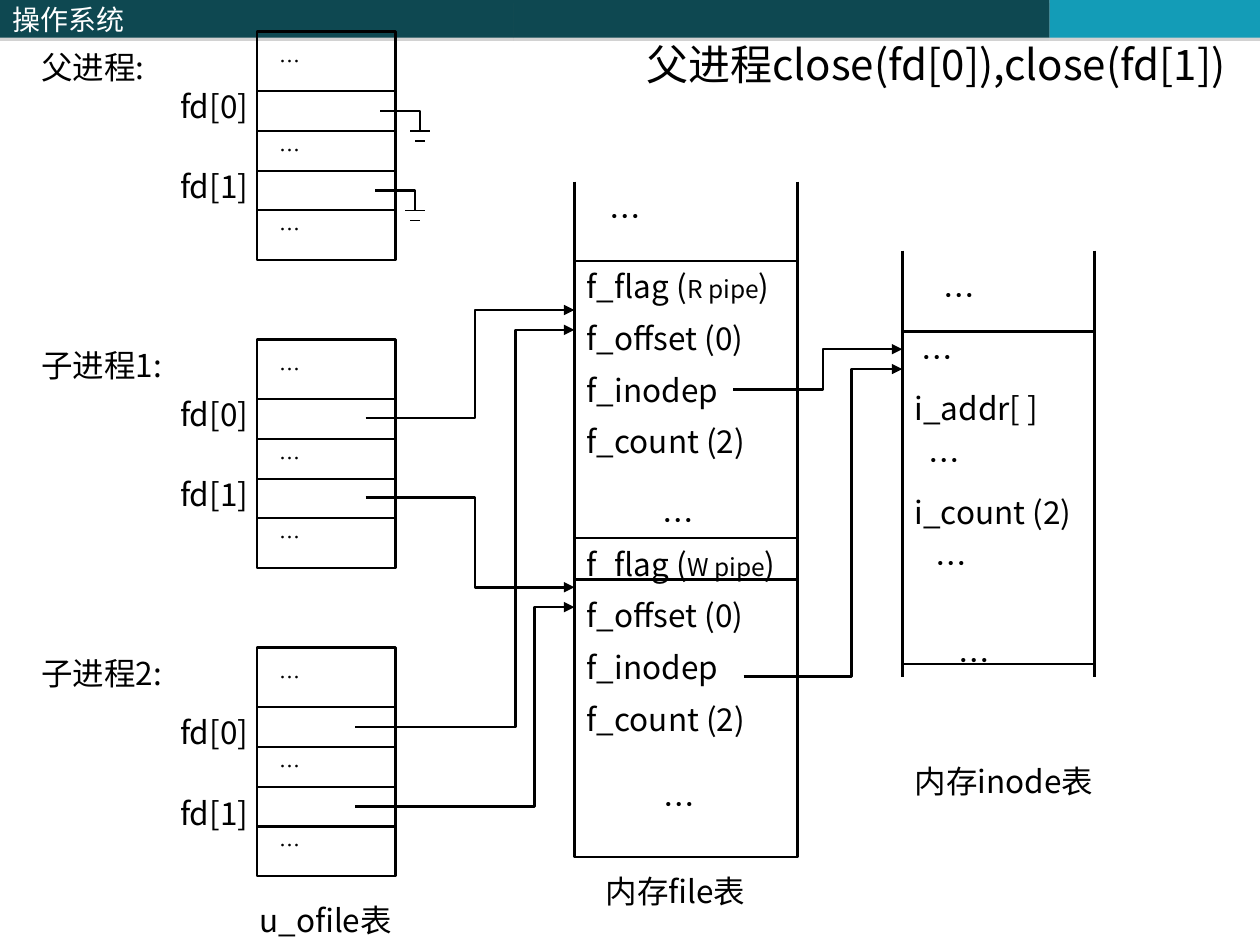
from dataclasses import dataclass

from lxml.etree import SubElement
from pptx import Presentation
from pptx.dml.color import RGBColor
from pptx.enum.shapes import MSO_CONNECTOR, MSO_SHAPE
from pptx.enum.text import MSO_ANCHOR, MSO_AUTO_SIZE, PP_ALIGN
from pptx.oxml.ns import qn
from pptx.util import Cm, Pt

BLACK = RGBColor(0x00, 0x00, 0x00)
WHITE = RGBColor(0xFF, 0xFF, 0xFF)
TEAL = RGBColor(0x0E, 0x48, 0x51)
CYAN = RGBColor(0x13, 0x9C, 0xB7)
FONT = "Noto Sans CJK SC"

FRAME_FORMAT = {
    "word_wrap": True,
    "auto_size": MSO_AUTO_SIZE.NONE,
    "vertical_anchor": MSO_ANCHOR.TOP,
    "margin_left": Cm(0.25),
    "margin_right": Cm(0.25),
    "margin_top": Cm(0.13),
    "margin_bottom": Cm(0.13),
}


@dataclass(frozen=True)
class Run:
    text: str
    size: float = 18


@dataclass(frozen=True)
class Row:
    runs: tuple[Run, ...]
    indent: float = 0


@dataclass(frozen=True)
class Label:
    text: str
    left: float
    top: float
    width: float
    height: float = 1.02
    size: float = 18


@dataclass(frozen=True)
class Process:
    label: Label
    table_top: float
    fd_top: float


@dataclass(frozen=True)
class Pointer:
    start_x: float
    start_y: float
    bend_x: float
    end_x: float
    end_y: float


OFILE_LEFT, OFILE_WIDTH, OFILE_HEIGHT = 5.18, 2.8, 4.6
OFILE_DIVIDERS = (1.2, 2, 2.8, 3.6)
OFILE_GAPS = (0.2, 2, 3.6)
FD_PITCH = 1.62
FILE_LEFT, FILE_RIGHT = 11.58, 16.08
INODE_LEFT, INODE_RIGHT = 18.19, 22.07

HEADER = ((0, 10.36, TEAL, "操作系统"), (10.36, 10.8, TEAL, ""), (21.16, 4.24, CYAN, ""))

PROCESSES = (
    Process(Label("父进程:", 0.58, 0.84, 2.8), 0.64, 1.62),
    Process(Label("子进程1:", 0.58, 6.85, 3.4), 6.85, 7.83),
    Process(Label("子进程2:", 0.58, 13.06, 3.4), 13.06, 14.25),
)

LABELS = (
    Label("父进程close(fd[0]),close(fd[1])", 12.78, 0.64, 12.19, 3.3, 24),
    Label("u_ofile表", 4.98, 18.03, 3.6),
    Label("内存file表", 11.96, 17.45, 4.12),
    Label("内存inode表", 18.19, 15.24, 4.19, 1.78),
    Label("…", 12.04, 3.84, 2.6),
    Label("…", 13.11, 9.98, 2.6),
    Label("…", 13.13, 15.7, 2.6),
    Label("…", 18.77, 5.44, 2.4),
    Label("…", 19.08, 12.8, 2.4),
)

INODE_ROWS = (
    Row((Run("…"),), 0.14),
    Row((Run("i_addr[ ]"),)),
    Row((Run("…"),), 0.28),
    Row((Run("i_count (2)"),)),
    Row((Run("…"),), 0.42),
)

POINTERS = (
    Pointer(7.37, 8.43, 9.58, FILE_LEFT, 6.25),
    Pointer(7.37, 10.03, 9.58, FILE_LEFT, 11.84),
    Pointer(7.16, 14.66, 10.39, FILE_LEFT, 6.65),
    Pointer(7.16, 16.26, 10.77, FILE_LEFT, 12.24),
    Pointer(14.78, 7.85, 16.59, INODE_LEFT, 7.04),
    Pointer(14.99, 13.64, 17.17, INODE_LEFT, 7.44),
)


def file_rows(pipe_end: str) -> tuple[Row, ...]:
    flag = Row((Run("f_flag ("), Run(f"{pipe_end} pipe", 14), Run(")")))
    fields = ("f_offset (0)", "f_inodep", "f_count (2)")
    return (flag, *(Row((Run(field),)) for field in fields))


def write_rows(frame, rows: tuple[Row, ...], color: RGBColor = BLACK, **overrides) -> None:
    for name, value in (FRAME_FORMAT | overrides).items():
        setattr(frame, name, value)
    for index, row in enumerate(rows):
        paragraph = frame.add_paragraph() if index else frame.paragraphs[0]
        paragraph.alignment = PP_ALIGN.LEFT
        paragraph.space_before = Pt(7.9 if index else 0)
        if row.indent:
            paragraph._p.get_or_add_pPr().set("marL", str(Cm(row.indent)))
        for part in row.runs:
            run = paragraph.add_run()
            run.text = part.text
            for name, value in {"name": FONT, "size": Pt(part.size)}.items():
                setattr(run.font, name, value)
            run.font.color.rgb = color
            SubElement(run._r.get_or_add_rPr(), qn("a:ea"), typeface=FONT)


def add_label(slide, label: Label) -> None:
    box = slide.shapes.add_textbox(
        Cm(label.left), Cm(label.top), Cm(label.width), Cm(label.height))
    write_rows(box.text_frame, (Row((Run(label.text, label.size),)),))


def style_outline(shape, weight: float) -> None:
    shape.shadow.inherit = False
    shape.fill.background()
    shape.line.color.rgb = BLACK
    shape.line.width = Pt(weight)


def add_frame(slide, left: float, top: float, width: float, height: float,
              rows: tuple[Row, ...] = ()) -> None:
    frame = slide.shapes.add_shape(
        MSO_SHAPE.RECTANGLE, Cm(left), Cm(top), Cm(width), Cm(height))
    style_outline(frame, 1.5)
    write_rows(frame.text_frame, rows)


def add_line(slide, x1: float, y1: float, x2: float, y2: float, weight: float) -> None:
    line = slide.shapes.add_connector(
        MSO_CONNECTOR.STRAIGHT, Cm(x1), Cm(y1), Cm(x2), Cm(y2))
    line.line.color.rgb = BLACK
    line.line.width = Pt(weight)
    SubElement(line._element.spPr, qn("a:effectLst"))


def add_wire(slide, points: list[tuple[float, float]], weight: float):
    start, *rest = [(Cm(x), Cm(y)) for x, y in points]
    builder = slide.shapes.build_freeform(*start)
    builder.add_line_segments(rest, close=False)
    wire = builder.convert_to_shape()
    style_outline(wire, weight)
    return wire


def add_pointer(slide, pointer: Pointer) -> None:
    points = [(pointer.start_x, pointer.start_y), (pointer.bend_x, pointer.start_y),
              (pointer.bend_x, pointer.end_y), (pointer.end_x, pointer.end_y)]
    wire = add_wire(slide, points, 1.5)
    SubElement(wire.line._get_or_add_ln(), qn("a:tailEnd"), type="triangle")


def add_ground(slide, x: float, y: float) -> None:
    """Draw the earth symbol that marks a closed descriptor."""
    stem = x + 0.8
    add_wire(slide, [(x, y), (stem, y), (stem, y + 0.4)], 1.25)
    for half, drop in ((0.2, 0.4), (0.1, 0.6)):
        add_line(slide, stem - half, y + drop, stem + half, y + drop, 0.75)


def add_header(slide) -> None:
    for left, width, color, title in HEADER:
        bar = slide.shapes.add_shape(
            MSO_SHAPE.RECTANGLE, Cm(left), Cm(0), Cm(width), Cm(0.76))
        bar.shadow.inherit = False
        bar.fill.solid()
        bar.fill.fore_color.rgb = color
        bar.line.fill.background()
        effects = bar._element.spPr.find(qn("a:effectLst"))
        shadow = SubElement(effects, qn("a:outerShdw"), dist=str(Pt(1.8)),
                            dir="5400000", rotWithShape="0")
        shade = SubElement(shadow, qn("a:srgbClr"), val="808080")
        SubElement(shade, qn("a:alpha"), val="35000")
        if title:
            write_rows(bar.text_frame, (Row((Run(title, 16),)),), WHITE,
                       vertical_anchor=MSO_ANCHOR.MIDDLE)


def add_process(slide, process: Process) -> None:
    top = process.table_top
    add_label(slide, process.label)
    add_frame(slide, OFILE_LEFT, top, OFILE_WIDTH, OFILE_HEIGHT)
    for offset in OFILE_DIVIDERS:
        add_line(slide, OFILE_LEFT, top + offset, OFILE_LEFT + OFILE_WIDTH, top + offset, 1.25)
    for offset in OFILE_GAPS:
        add_label(slide, Label("…", OFILE_LEFT + 0.2, top + offset, 2.2, 0.77, 12))
    for fd in range(2):
        add_label(slide, Label(f"fd[{fd}]", 3.38, process.fd_top + fd * FD_PITCH, 2))


def main() -> None:
    deck = Presentation()
    deck.slide_width, deck.slide_height = Cm(25.4), Cm(19.05)
    slide = deck.slides.add_slide(deck.slide_layouts[6])
    add_header(slide)
    for process in PROCESSES:
        add_process(slide, process)
    for top, pipe_end in ((5.26, "R"), (10.85, "W")):
        add_frame(slide, FILE_LEFT, top, FILE_RIGHT - FILE_LEFT, 6.43, file_rows(pipe_end))
    add_frame(slide, INODE_LEFT, 6.68, INODE_RIGHT - INODE_LEFT, 6.71, INODE_ROWS)
    for x in (FILE_LEFT, FILE_RIGHT):
        add_line(slide, x, 3.66, x, 16.64, 1.5)
    for x in (INODE_LEFT, INODE_RIGHT):
        add_line(slide, x, 5.05, x, 13.64, 1.5)
    for label in LABELS:
        add_label(slide, label)
    for pointer in POINTERS:
        add_pointer(slide, pointer)
    add_ground(slide, 7.67, 2.24)
    add_ground(slide, 7.57, 3.84)
    deck.save("out.pptx")


if __name__ == "__main__":
    main()
